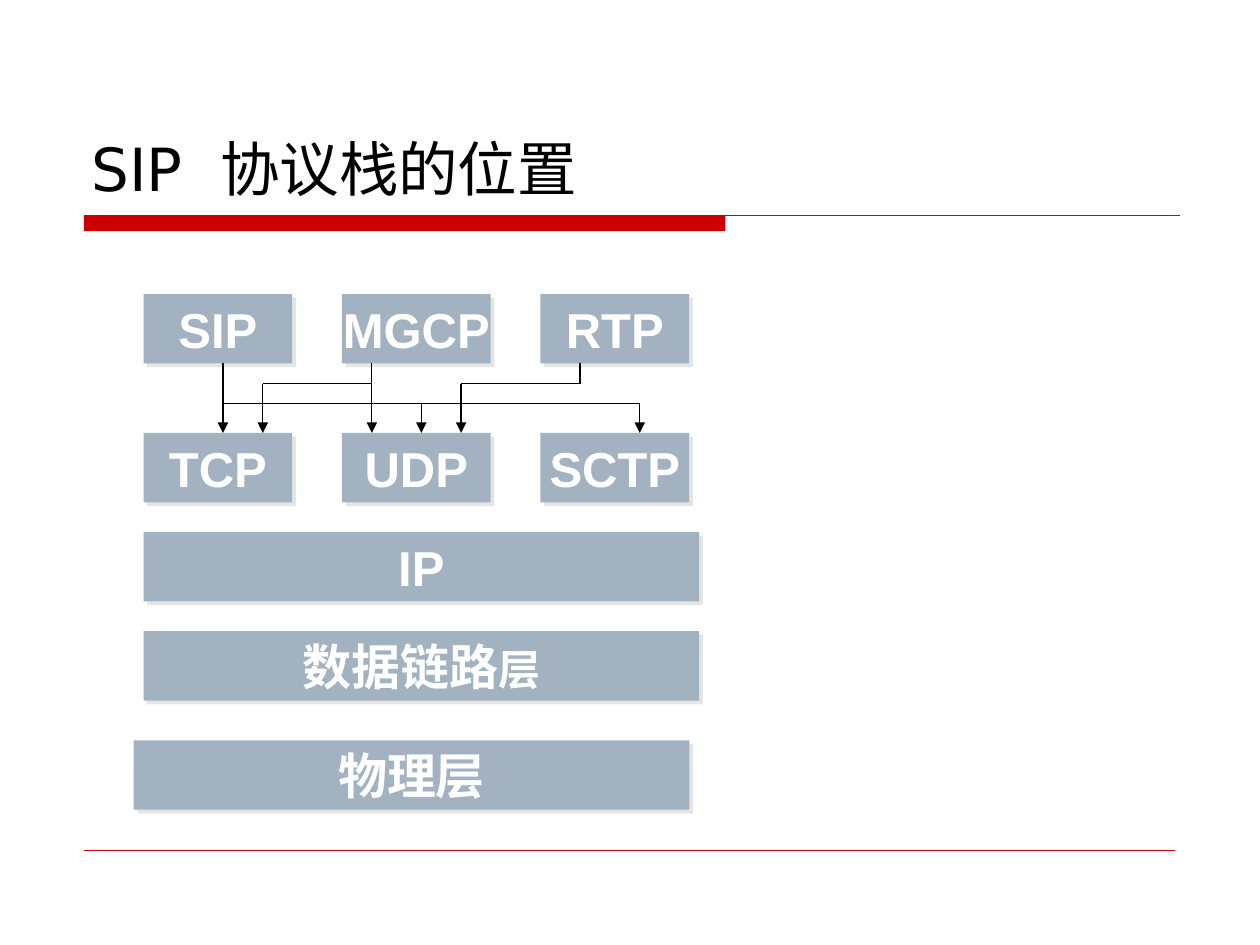
from lxml import etree
from pptx import Presentation
from pptx import util as u
from pptx.dml import color
from pptx.enum import shapes, text
from pptx.oxml import ns

COLORS = {"red": "CC0000", "block": "A3B2C1", "shadow": "DDDDDD",
          "white": "FFFFFF", "black": "000000"}
BLOCK_WIDTH, BLOCK_HEIGHT, BLOCK_PITCH = 85, 39.7, 113.4
LAYER_WIDTH = 317.5


def rgb(name):
    return color.RGBColor.from_string(COLORS[name])


def add_child(parent, tag, **attributes):
    return etree.SubElement(parent, ns.qn(tag), attributes)


def format_run(run, size, font_name, color_name, bold=False):
    run.font.size = u.Pt(size)
    run.font.name = font_name
    run.font.bold = bold
    run.font.color.rgb = rgb(color_name)


def add_line(slide, start, end, color_name="black", width=0.75, arrow=False):
    points = [u.Pt(value) for value in (*start, *end)]
    connector = slide.shapes.add_connector(shapes.MSO_CONNECTOR.STRAIGHT, *points)
    connector.line.color.rgb = rgb(color_name)
    connector.line.width = u.Pt(width)
    if arrow:
        add_child(connector.line._get_or_add_ln(), "a:tailEnd", type="triangle")
    add_child(connector._element.spPr, "a:effectLst")


def add_rectangle(slide, left, top, width, height, color_name):
    shape = slide.shapes.add_shape(
        shapes.MSO_SHAPE.RECTANGLE, *[u.Pt(value) for value in (left, top, width, height)])
    shape.shadow.inherit = False
    shape.fill.solid()
    shape.fill.fore_color.rgb = rgb(color_name)
    shape.line.fill.background()
    return shape


def add_block(slide, left, top, width, *parts):
    shape = add_rectangle(slide, left, top, width, BLOCK_HEIGHT, "block")
    effects = shape._element.spPr.find(ns.qn("a:effectLst"))
    shadow = add_child(effects, "a:outerShdw", blurRad="0", dist=str(u.Pt(3)),
                       dir="2700000", algn="ctr", rotWithShape="0")
    shadow_color = add_child(shadow, "a:srgbClr", val=COLORS["shadow"])
    add_child(shadow_color, "a:alpha", val="75000")
    frame = shape.text_frame
    frame.word_wrap = False
    frame.vertical_anchor = text.MSO_ANCHOR.MIDDLE
    paragraph = frame.paragraphs[0]
    paragraph.alignment = text.PP_ALIGN.CENTER
    for words, size in parts:
        run = paragraph.add_run()
        run.text = words
        format_run(run, size, "Arial", "white", bold=True)


def add_title(slide, left, top, width, height):
    title = slide.shapes.title
    title.left, title.top = u.Pt(left), u.Pt(top)
    title.width, title.height = u.Pt(width), u.Pt(height)
    frame = title.text_frame
    frame.vertical_anchor = text.MSO_ANCHOR.BOTTOM
    frame.auto_size = text.MSO_AUTO_SIZE.NONE
    paragraph = frame.paragraphs[0]
    paragraph.alignment = text.PP_ALIGN.LEFT
    for words, spacing in (("SIP", 0), (" ", 10.8), ("协议栈的位置", 0)):
        run = paragraph.add_run()
        run.text = words
        format_run(run, 34, "DejaVu Sans", "black")
        run.font._element.set("spc", str(round(spacing * 100)))


def add_rules(slide, left, top, width, height):
    add_rectangle(slide, left, top, 366.5, 9, "red")
    add_line(slide, (left, top), (left + width, top), "red")
    add_line(slide, (left, top + height), (left + width - 3, top + height), "red", 0.25)


def add_protocol_rows(slide, left, top, row_pitch):
    rows = (("SIP", "MGCP", "RTP"), ("TCP", "UDP", "SCTP"))
    for row, names in enumerate(rows):
        for column, name in enumerate(names):
            add_block(slide, left + column * BLOCK_PITCH, top + row * row_pitch,
                      BLOCK_WIDTH, (name, 28))


def add_layers(slide, left, top):
    layers = ((0, 0, [("IP", 28)]),
              (0, 56.7, [("数据链路", 28), ("层", 24)]),
              (-5.6, 119, [("物理层", 28)]))
    for shift, offset, parts in layers:
        add_block(slide, left + shift, top + offset, LAYER_WIDTH, *parts)


def add_links(slide, left, top, height):
    upper, lower = 11.5, 23
    sip, mgcp, rtp = 45.4, 130.5, 249.5
    tcp, udp_left, udp_right, sctp = 68.2, 158.8, 181.5, 283.6
    arrows = ((sip, 0), (mgcp, 0), (tcp, upper), (udp_right, upper),
              (udp_left, lower), (sctp, lower))
    for x, start in arrows:
        add_line(slide, (left + x, top + start), (left + x, top + height), arrow=True)
    for start, end, y in ((sip, udp_left, lower), (udp_left, sctp, lower),
                          (mgcp, tcp, upper), (rtp, udp_right, upper)):
        add_line(slide, (left + start, top + y), (left + end, top + y))
    add_line(slide, (left + rtp, top), (left + rtp, top + upper))


def add_stack(slide, left, top):
    row_pitch = 79.4
    add_layers(slide, left, top + 136)
    add_protocol_rows(slide, left, top, row_pitch)
    add_links(slide, left, top + BLOCK_HEIGHT, row_pitch - BLOCK_HEIGHT)


def main():
    presentation = Presentation()
    presentation.slide_width, presentation.slide_height = u.Pt(720), u.Pt(540)
    slide = presentation.slides.add_slide(presentation.slide_layouts[5])
    add_rules(slide, 48, 123.1, 626.5, 362.9)
    add_title(slide, 45, 24, 630, 96)
    add_stack(slide, 82, 168)
    presentation.save("out.pptx")


if __name__ == "__main__":
    main()
